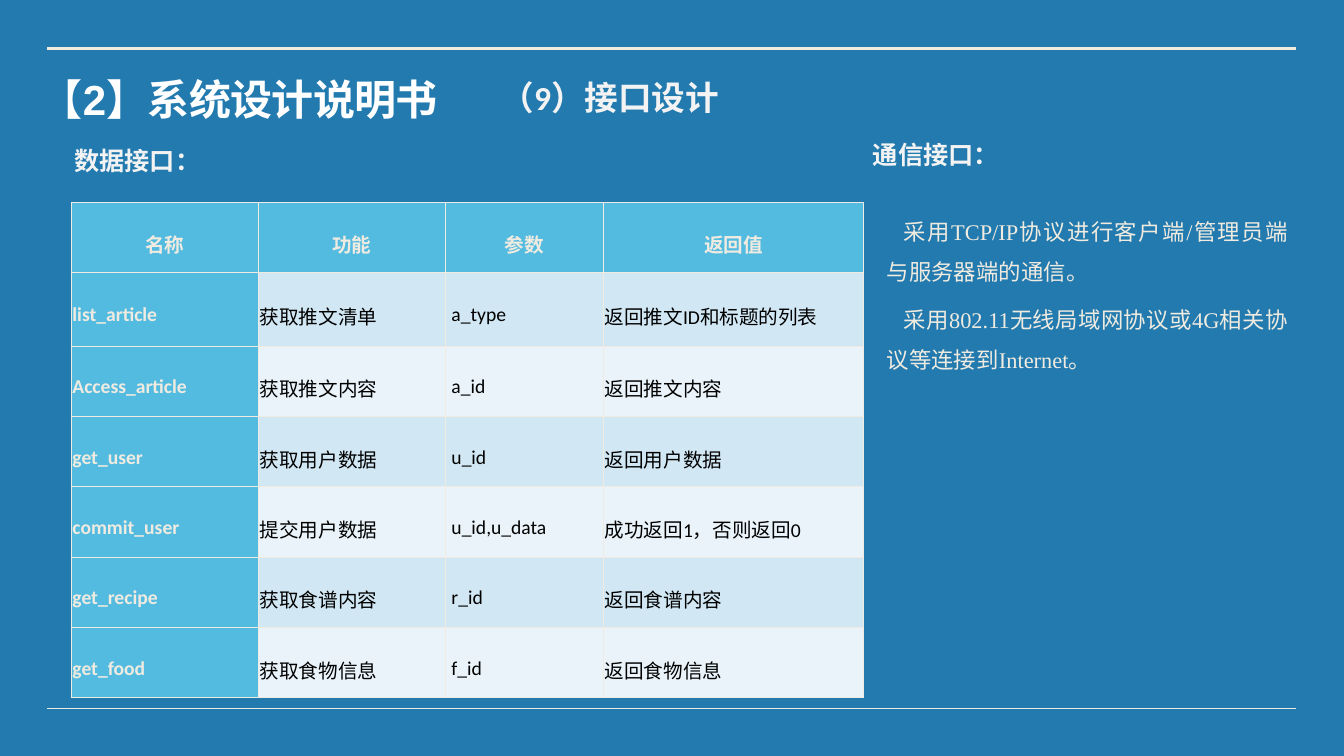
from lxml import etree
from pptx import Presentation
from pptx.dml.color import RGBColor
from pptx.enum.shapes import MSO_CONNECTOR
from pptx.enum.text import MSO_ANCHOR, PP_ALIGN
from pptx.oxml.ns import qn
from pptx.util import Pt

SCALE = 9525
STRAIGHT = MSO_CONNECTOR.STRAIGHT
MIDDLE, TOP = MSO_ANCHOR.MIDDLE, MSO_ANCHOR.TOP
LEFT, CENTER, JUSTIFY = PP_ALIGN.LEFT, PP_ALIGN.CENTER, PP_ALIGN.JUSTIFY

BLUE, WHITE, BLACK = "227AAF", "FFFFFF", "000000"
CREAM, RULE, PALE = "F0EBE0", "EFEBDF", "F3F3F4"
HEADER, BANDS = "53BBE0", ("D1E7F3", "E9F3F9")

COLUMNS = (357, 357, 300, 496)
ROWS = (134, 140, 134, 134, 134, 134, 134)
INTERFACES = (
    ("名称", "功能", "参数", "返回值"),
    ("list_article", "获取推文清单", "a_type", "返回推文ID和标题的列表"),
    ("Access_article", "获取推文内容", "a_id", "返回推文内容"),
    ("get_user", "获取用户数据", "u_id", "返回用户数据"),
    ("commit_user", "提交用户数据", "u_id,u_data", "成功返回1，否则返回0"),
    ("get_recipe", "获取食谱内容", "r_id", "返回食谱内容"),
    ("get_food", "获取食物信息", "f_id", "返回食物信息"),
)
COMMUNICATION = (
    "采用TCP/IP协议进行客户端/管理员端与服务器端的通信。",
    "采用802.11无线局域网协议或4G相关协议等连接到Internet。",
)


def px(*lengths):
    return [length * SCALE for length in lengths]


def color(value):
    return RGBColor.from_string(value)


def write(para, text, size=28, font="Calibri", ink=PALE, bold=False,
          align=LEFT, leading=1.0, before=10, indent=0, tracking=0):
    para.alignment = align
    para.line_spacing = leading
    para.space_before = Pt(before)
    if indent:
        properties = para._p.get_or_add_pPr()
        properties.set("marL", "0")
        properties.set("indent", str(indent * SCALE))
    span = para.add_run()
    span.text = text
    span.font.size = Pt(size)
    span.font.name = font
    span.font.bold = bold
    span.font.color.rgb = color(ink)
    if tracking:
        span._r.get_or_add_rPr().set("spc", str(tracking))


def add_text(page, place, texts, anchor=MIDDLE, insets=(6, 6), **style):
    box = page.shapes.add_textbox(*px(*place))
    frame = box.text_frame
    frame.word_wrap = True
    frame.vertical_anchor = anchor
    frame.margin_left = frame.margin_right = insets[0] * SCALE
    frame.margin_top = frame.margin_bottom = insets[1] * SCALE
    for index, text in enumerate(texts):
        para = frame.add_paragraph() if index else frame.paragraphs[0]
        write(para, text, **style)


def add_rule(page, y, weight):
    rule = page.shapes.add_connector(STRAIGHT, *px(90, y, 2469, y))
    rule.line.color.rgb = color(RULE)
    rule.line.width = Pt(weight)
    etree.SubElement(rule._element.spPr, qn("a:effectLst"))


def add_borders(cell, **weights):
    properties = cell._tc.get_or_add_tcPr()
    for side in "LRTB":
        border = etree.SubElement(properties, qn(f"a:ln{side}"))
        border.set("w", str(Pt(weights.get(side, 1))))
        fill = etree.SubElement(border, qn("a:solidFill"))
        etree.SubElement(fill, qn("a:srgbClr")).set("val", CREAM)


def fill_cell(cell, text, row, column):
    heading = row == 0 or column == 0
    add_borders(cell, T=3 if row == 1 else 1, B=3 if row == 0 else 1)
    cell.fill.solid()
    cell.fill.fore_color.rgb = color(HEADER if heading else BANDS[(row - 1) % 2])
    cell.vertical_anchor = MIDDLE
    cell.margin_left = (11 if row and column == 2 else 3) * SCALE
    cell.margin_right = 3 * SCALE
    cell.margin_top = cell.margin_bottom = 6 * SCALE
    write(cell.text_frame.paragraphs[0], text, leading=1.5, bold=heading,
          ink=CREAM if heading else BLACK, align=LEFT if row else CENTER)


def add_interface_table(page):
    place = px(135, 385, sum(COLUMNS), sum(ROWS))
    table = page.shapes.add_table(len(ROWS), len(COLUMNS), *place).table
    for column, width in zip(table.columns, px(*COLUMNS)):
        column.width = width
    for row, height in zip(table.rows, px(*ROWS)):
        row.height = height
    for row, texts in enumerate(INTERFACES):
        for column, text in enumerate(texts):
            fill_cell(table.cell(row, column), text, row, column)


def main():
    deck = Presentation()
    deck.slide_width, deck.slide_height = px(2560, 1440)
    page = deck.slides.add_slide(deck.slide_layouts[6])
    page.background.fill.solid()
    page.background.fill.fore_color.rgb = color(BLUE)

    add_rule(page, 1350, 1)
    add_rule(page, 93, 4)
    add_text(page, (72, 97, 1256, 198), ["【2】系统设计说明书"], size=60, font="Arial",
             ink=WHITE, bold=True, leading=0.8, before=0, tracking=-90)
    add_text(page, (707, 140, 909, 88), ["（9）接口设计"], size=48, bold=True, align=CENTER)
    add_interface_table(page)
    add_text(page, (0, 271, 523, 69), ["数据接口："], size=36, bold=True, align=CENTER)
    add_text(page, (1328, 259, 909, 69), ["通信接口："], size=36, bold=True, align=CENTER)
    add_text(page, (1679, 385, 784, 324), COMMUNICATION, anchor=TOP, insets=(10, 5),
             size=32, font="Times New Roman", ink=CREAM, align=JUSTIFY,
             leading=1.5, indent=32)
    deck.save("out.pptx")


if __name__ == "__main__":
    main()
